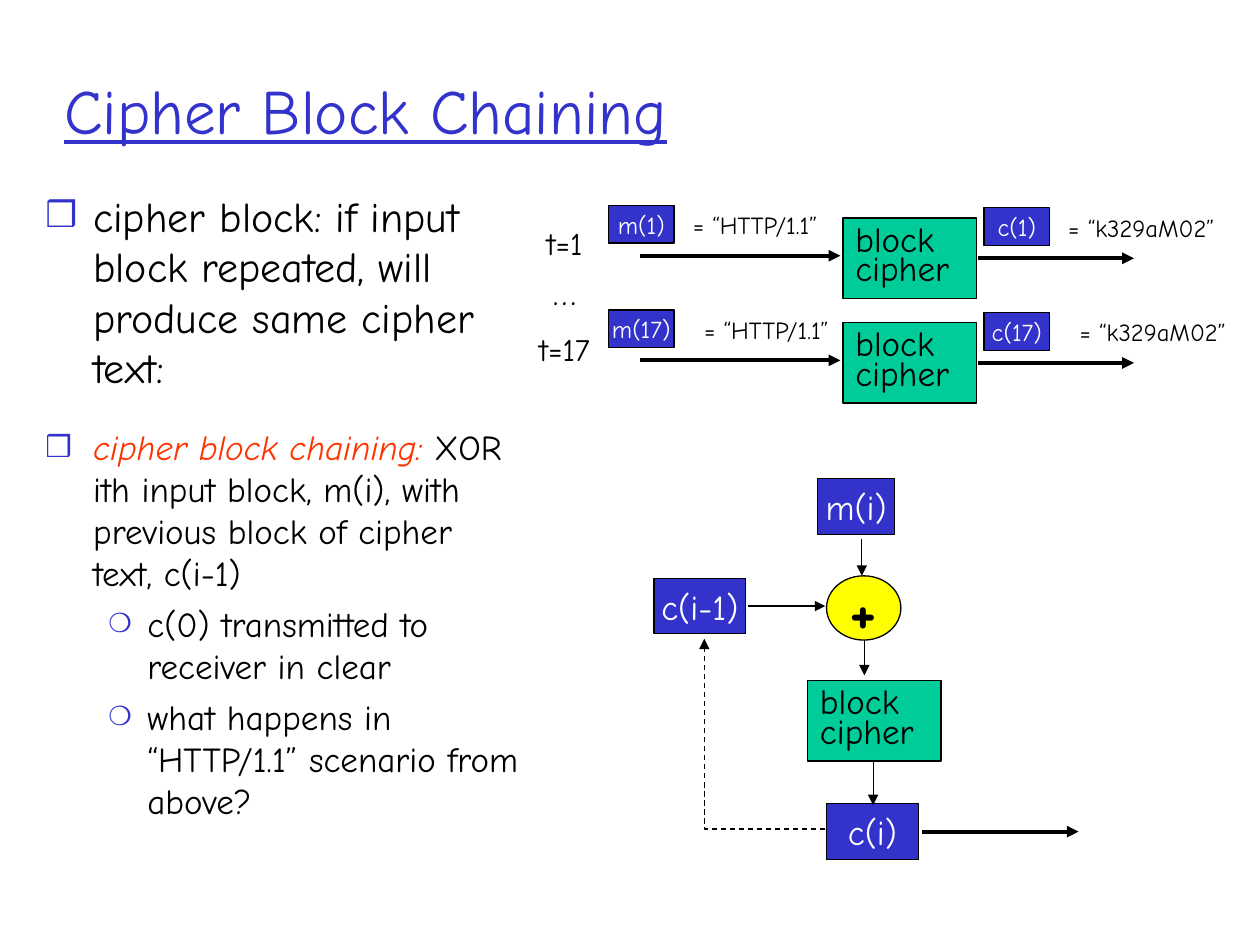
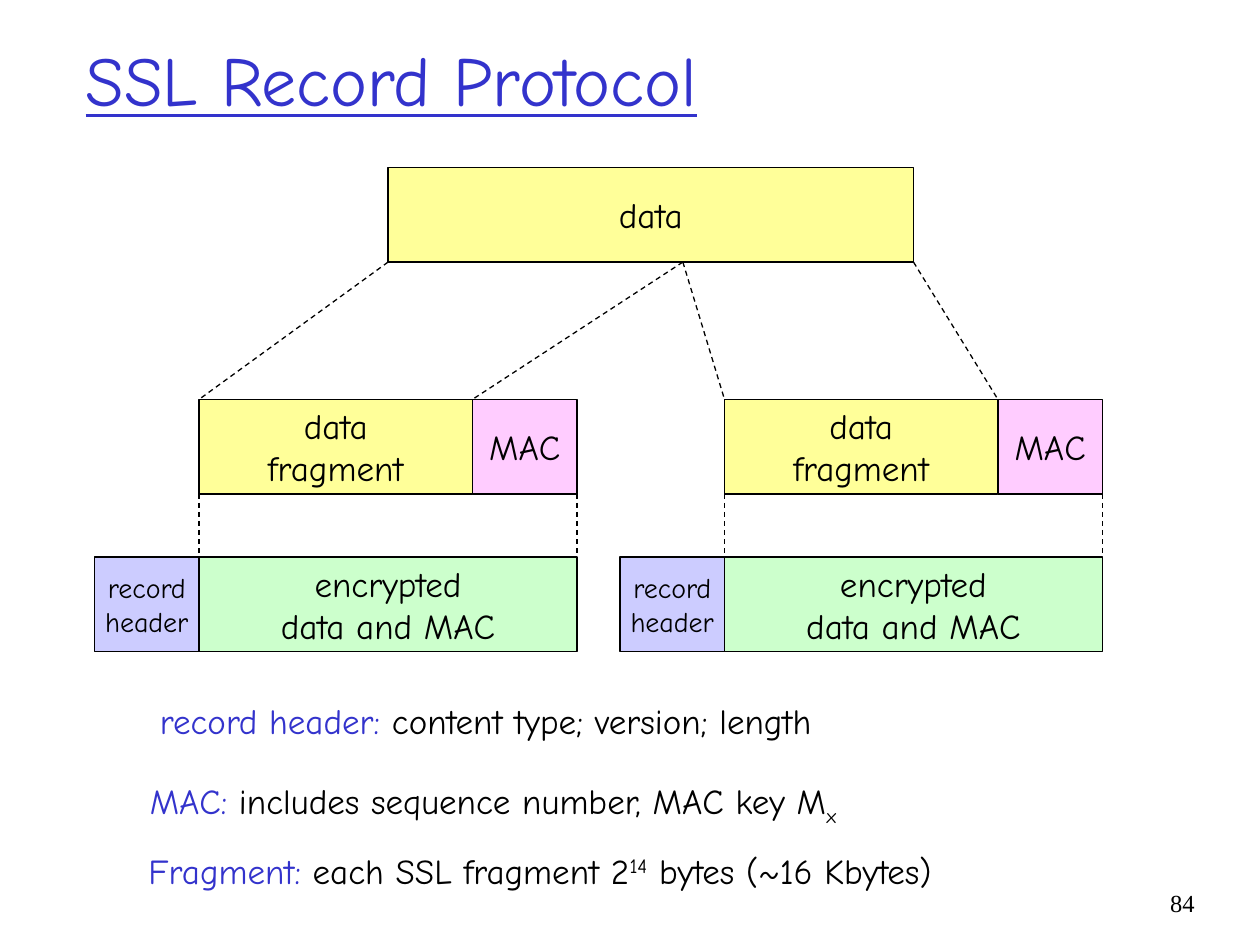
"""Build two network security slides: cipher block chaining and the SSL record protocol."""

from typing import NamedTuple

import lxml.etree
import pptx
import pptx.dml.color
import pptx.enum.dml
import pptx.enum.shapes
import pptx.enum.text
import pptx.oxml.ns
import pptx.util

Inches = pptx.util.Inches
Pt = pptx.util.Pt
PRESET = pptx.enum.shapes.MSO_SHAPE
ALIGN = pptx.enum.text.PP_ALIGN
ANCHOR = pptx.enum.text.MSO_ANCHOR
FIT = pptx.enum.text.MSO_AUTO_SIZE

FONT = "Comic Neue"
BLACK, WHITE, BLUE, RED = "000000", "FFFFFF", "3333CC", "FF3300"
GREEN, YELLOW = "00CC99", "FFFF00"
PALE_YELLOW, PINK, PALE_GREEN, LILAC = "FFFF99", "FFCCFF", "CCFFCC", "CCCCFF"
THIN, THICK = 0.75, 2.25


class Area(NamedTuple):
    """Left, top, width and height in inches."""
    left: float
    top: float
    width: float
    height: float

    def lengths(self) -> list:
        return [Inches(value) for value in self]


class Span(NamedTuple):
    """A stretch of text in one look."""
    text: str
    color: str = BLACK
    italic: bool = False
    baseline: int = 0


class Bullet(NamedTuple):
    """The marker and the indents of a list level."""
    mark: str
    percent: int
    margin: float
    hanging: float


class Block(NamedTuple):
    """A filled shape with its label."""
    area: Area
    fill: str
    lines: list[str]
    size: float = 20
    color: str = BLACK
    align: int = ALIGN.CENTER
    spacing: float = 1.0
    preset: int = PRESET.RECTANGLE
    bold: bool = False


class Line(NamedTuple):
    """A straight line between two points."""
    x1: float
    y1: float
    x2: float
    y2: float
    width: float = THIN
    arrow: bool = True


SQUARE = Bullet("❒", 85, 0.38, -0.38)
CIRCLE = Bullet("❍", 75, 0.81, -0.31)


def rgb(value: str) -> pptx.dml.color.RGBColor:
    """Turn a hex string into a colour."""
    return pptx.dml.color.RGBColor.from_string(value)


def add_xml(parent, tag: str, **attributes: str):
    """Append a drawing element to its parent."""
    return lxml.etree.SubElement(parent, pptx.oxml.ns.qn(tag), attributes)


def style(run, size: float, color: str, font: str = FONT) -> None:
    """Give a run its font, size and colour."""
    run.font.name = font
    run.font.size = Pt(size)
    run.font.color.rgb = rgb(color)


def fill_paragraph(paragraph, spans: list[Span], size: float, font: str = FONT) -> None:
    """Write the spans into a paragraph."""
    for span in spans:
        run = paragraph.add_run()
        run.text = span.text
        style(run, size, span.color, font)
        if span.italic:
            run.font.italic = True
        if span.baseline:
            run.font._element.set("baseline", str(span.baseline * 1000))


def place(shape, area: Area) -> None:
    """Move a placeholder to its area."""
    shape.left, shape.top, shape.width, shape.height = area.lengths()


def set_title(slide, text: str, area: Area, size: float) -> None:
    """Fill the underlined slide title."""
    title = slide.shapes.title
    place(title, area)
    frame = title.text_frame
    frame.text = text
    frame.auto_size = FIT.NONE
    frame.vertical_anchor = ANCHOR.MIDDLE
    paragraph = frame.paragraphs[0]
    paragraph.alignment = ALIGN.LEFT
    style(paragraph.runs[0], size, BLUE)
    paragraph.runs[0].font.underline = True


def set_list(body, area: Area, size: float, items: list[tuple[Bullet, list[Span]]]) -> None:
    """Fill a body placeholder with a bulleted list."""
    place(body, area)
    frame = body.text_frame
    frame.auto_size = FIT.NONE
    for index, (bullet, spans) in enumerate(items):
        paragraph = frame.add_paragraph() if index else frame.paragraphs[0]
        paragraph.level = 1 if bullet is CIRCLE else 0
        properties = paragraph._p.get_or_add_pPr()
        properties.set("marL", str(Inches(bullet.margin)))
        properties.set("indent", str(Inches(bullet.hanging)))
        add_xml(add_xml(properties, "a:buClr"), "a:srgbClr", val=BLUE)
        add_xml(properties, "a:buSzPct", val=str(bullet.percent * 1000))
        add_xml(properties, "a:buChar", char=bullet.mark)
        paragraph.space_before = Pt(5 if index else 0)
        fill_paragraph(paragraph, spans, size)


def add_text(slide, area: Area, spans: list[Span], size: float,
             align: int = ALIGN.LEFT, font: str = FONT) -> None:
    """Add a one-line text box."""
    frame = slide.shapes.add_textbox(*area.lengths()).text_frame
    frame.word_wrap = align == ALIGN.RIGHT
    frame.auto_size = FIT.NONE if frame.word_wrap else FIT.SHAPE_TO_FIT_TEXT
    frame.paragraphs[0].alignment = align
    fill_paragraph(frame.paragraphs[0], spans, size, font)


def add_block(slide, block: Block) -> None:
    """Draw a labelled block."""
    shape = slide.shapes.add_shape(block.preset, *block.area.lengths())
    shape.shadow.inherit = False
    shape.fill.solid()
    shape.fill.fore_color.rgb = rgb(block.fill)
    shape.line.color.rgb = rgb(BLACK)
    shape.line.width = Pt(THIN)
    frame = shape.text_frame
    frame.word_wrap = False
    frame.vertical_anchor = ANCHOR.MIDDLE
    if block.align == ALIGN.CENTER:
        frame.margin_left = frame.margin_right = Inches(0)
    frame.text = "\n".join(block.lines)
    for paragraph in frame.paragraphs:
        paragraph.alignment = block.align
        paragraph.line_spacing = block.spacing
        style(paragraph.runs[0], block.size, block.color)
        paragraph.runs[0].font.bold = block.bold


def format_line(shape, width: float, dashed: bool, arrow: bool) -> None:
    """Set the stroke of a line and its arrowhead."""
    shape.line.color.rgb = rgb(BLACK)
    shape.line.width = Pt(width)
    if dashed:
        shape.line.dash_style = pptx.enum.dml.MSO_LINE.DASH
    if arrow:
        add_xml(shape.line._get_or_add_ln(), "a:tailEnd", type="triangle")


def add_line(slide, line: Line) -> None:
    """Draw an arrow, or a dashed line where there is no head."""
    ends = [Inches(value) for value in line[:4]]
    connector = slide.shapes.add_connector(pptx.enum.shapes.MSO_CONNECTOR.STRAIGHT, *ends)
    format_line(connector, line.width, not line.arrow, line.arrow)
    add_xml(connector._element.spPr, "a:effectLst")


def cipher_block(left: float, top: float) -> Block:
    """Describe a block cipher box."""
    return Block(Area(left, top, 1.06, 0.64), GREEN, ["block", "cipher"],
                 align=ALIGN.LEFT, spacing=0.7)


def add_cipher_row(slide, step: int, top: float, step_area: Area, value_shift: float) -> None:
    """Draw the encryption of one message block at one step."""
    add_text(slide, step_area, [Span(f"t={step}")], 18)
    sides = [("m", 4.83, top, "= “HTTP/1.1”", 1.2), ("c", 7.81, top + 0.02, "= “k329aM02”", 1.36)]
    for name, left, label_top, value, width in sides:
        add_block(slide, Block(Area(left, label_top, 0.52, 0.3), BLUE, [f"{name}({step})"],
                               14, WHITE))
        add_text(slide, Area(left + 0.57 + value_shift, label_top - 0.01, width, 0.34),
                 [Span(value)], 14)
    add_block(slide, cipher_block(6.69, top + 0.1))
    add_line(slide, Line(5.08, top + 0.4, 6.67, top + 0.4, THICK))
    add_line(slide, Line(7.76, top + 0.42, 9, top + 0.42, THICK))


def add_feedback(slide) -> None:
    """Draw the dashed path from c(i) back to c(i-1)."""
    start, *bends = [(Inches(x), Inches(y)) for x, y in [(6.55, 6.58), (5.59, 6.58), (5.59, 5.07)]]
    builder = slide.shapes.build_freeform(*start)
    builder.add_line_segments(bends, close=False)
    feedback = builder.convert_to_shape()
    feedback.shadow.inherit = False
    feedback.fill.background()
    format_line(feedback, THIN, True, True)


def build_chaining_slide(deck) -> None:
    """Build the cipher block chaining slide."""
    slide = deck.slides.add_slide(deck.slide_layouts[3])
    set_title(slide, "Cipher Block Chaining", Area(0.41, 0.24, 8.67, 1.25), 36)
    set_list(slide.placeholders[1], Area(0.26, 1.46, 3.86, 1.91), 24, [
        (SQUARE, [Span("cipher block: if input block repeated, will produce same cipher text:")]),
    ])
    set_list(slide.placeholders[2], Area(0.26, 3.33, 3.96, 3.3), 20, [
        (SQUARE, [Span("cipher block chaining:", RED, italic=True),
                  Span(" XOR ith input block, m(i), with previous block of cipher text, c(i-1)")]),
        (CIRCLE, [Span("c(0) transmitted to receiver in clear")]),
        (CIRCLE, [Span("what happens in “HTTP/1.1” scenario from above?")]),
    ])
    add_cipher_row(slide, 1, 1.63, Area(4.24, 1.73, 0.5, 0.4), 0)
    add_text(slide, Area(4.29, 2.1, 0.38, 0.44), [Span("…")], 20)
    add_cipher_row(slide, 17, 2.46, Area(4.18, 2.57, 0.64, 0.4), 0.09)
    for block in [
        Block(Area(6.49, 3.8, 0.61, 0.44), BLUE, ["m(i)"], color=WHITE),
        Block(Area(5.19, 4.59, 0.73, 0.44), BLUE, ["c(i-1)"], color=WHITE),
        Block(Area(6.56, 4.57, 0.59, 0.51), YELLOW, ["+"], 36, preset=PRESET.OVAL, bold=True),
        cipher_block(6.41, 5.4),
        Block(Area(6.56, 6.38, 0.73, 0.44), BLUE, ["c(i)"], color=WHITE),
    ]:
        add_block(slide, block)
    for line in [
        Line(6.84, 4.28, 6.84, 4.57),
        Line(5.94, 4.81, 6.55, 4.81),
        Line(6.86, 5.08, 6.86, 5.36),
        Line(6.93, 6.04, 6.93, 6.39),
        Line(7.32, 6.6, 8.56, 6.6, THICK),
    ]:
        add_line(slide, line)
    add_feedback(slide)


def add_record(slide, left: float, data_start: float, data_end: float) -> None:
    """Draw one SSL record below its share of the data."""
    fragment, mac, end = left + 0.83, left + 3, left + 3.83
    for block in [
        Block(Area(fragment, 3.17, 2.17, 0.75), PALE_YELLOW, ["data", "fragment"]),
        Block(Area(mac, 3.17, 0.83, 0.75), PINK, ["MAC"]),
        Block(Area(fragment, 4.42, 3, 0.75), PALE_GREEN, ["encrypted", "data and MAC"]),
        Block(Area(left, 4.42, 0.83, 0.75), LILAC, ["record", "header"], 16),
    ]:
        add_block(slide, block)
    for top_x, bottom_x in [(data_start, fragment), (data_end, mac)]:
        add_line(slide, Line(top_x, 2.08, bottom_x, 3.17, arrow=False))
    for x in (fragment, end):
        add_line(slide, Line(x, 3.92, x, 4.42, arrow=False))


def build_record_slide(deck) -> None:
    """Build the SSL record protocol slide."""
    slide = deck.slides.add_slide(deck.slide_layouts[5])
    set_title(slide, "SSL Record Protocol", Area(0.58, 0, 8.5, 1.25), 40)
    add_block(slide, Block(Area(3.08, 1.33, 4.17, 0.75), PALE_YELLOW, ["data"]))
    add_record(slide, 0.75, 3.08, 5.42)
    add_record(slide, 4.92, 5.42, 7.25)
    for area, spans in [
        (Area(1.17, 5.5, 5.49, 0.44),
         [Span("record header:", BLUE), Span(" content type; version; length")]),
        (Area(1.09, 6.14, 5.68, 0.48),
         [Span("MAC:", BLUE), Span(" includes sequence number, MAC key M"),
          Span("x", baseline=-25)]),
        (Area(1.08, 6.69, 6.44, 0.44),
         [Span("Fragment:", BLUE), Span(" each SSL fragment 2"),
          Span("14", baseline=30), Span(" bytes (~16 Kbytes)")]),
    ]:
        add_text(slide, area, spans, 20)
    add_text(slide, Area(9.08, 7, 0.5, 0.5), [Span("84")], 14, ALIGN.RIGHT, "Times New Roman")


def main() -> None:
    """Build and save the deck."""
    deck = pptx.Presentation()
    deck.slide_width, deck.slide_height = Inches(10), Inches(7.5)
    build_chaining_slide(deck)
    build_record_slide(deck)
    deck.save("out.pptx")


if __name__ == "__main__":
    main()
